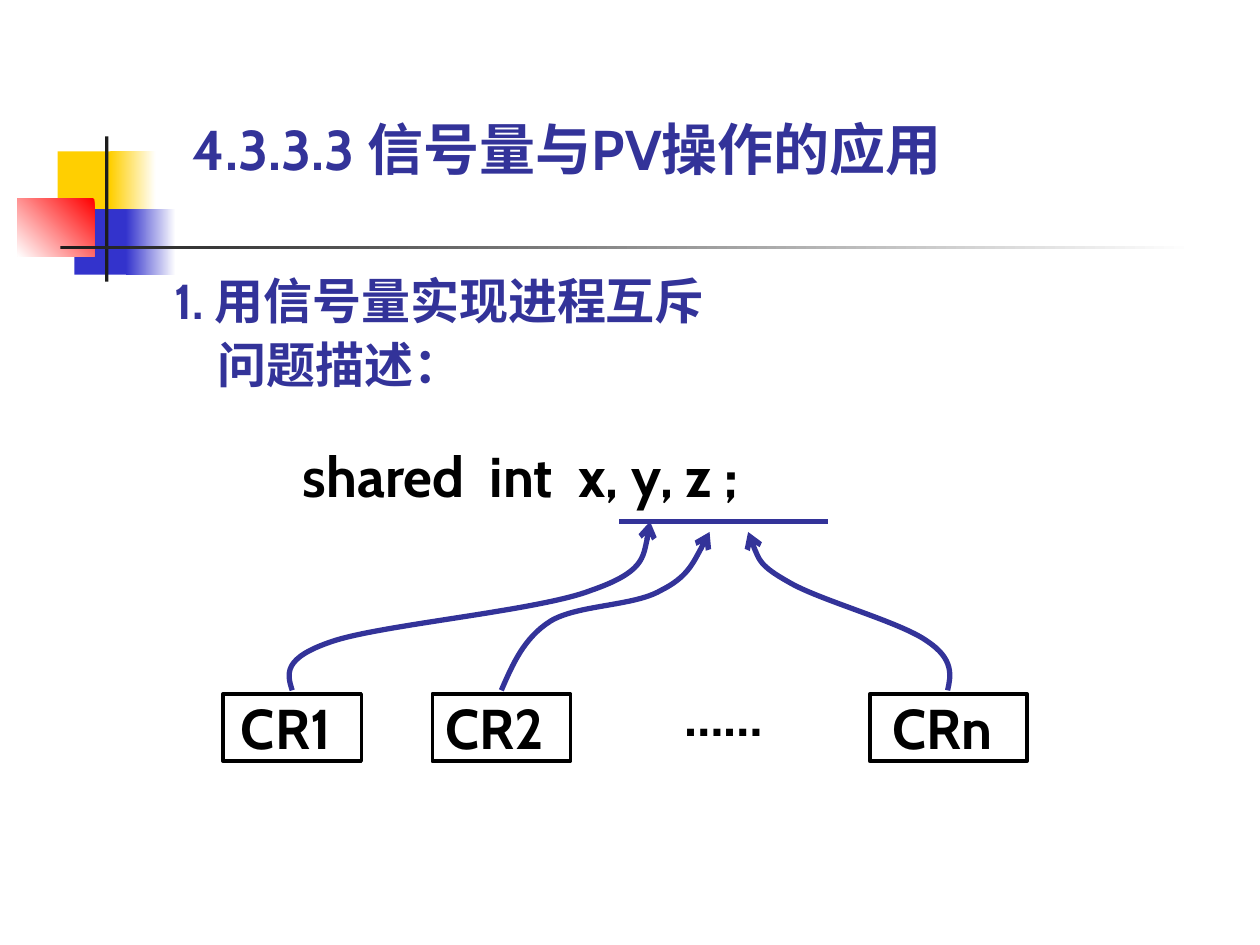
from pptx import Presentation
from pptx import util as u
from pptx.dml.color import RGBColor
from pptx.enum import shapes, text
from pptx.oxml import ns
from lxml import etree

FONT = "Cabin"
COLORS = {"yellow": "FFCF01", "blue": "3333CC", "red": "FF0000", "dark": "1C1C1C",
          "white": "FFFFFF", "indigo": "333399", "black": "000000"}

# name, left, top, width, height, fade angle (counter-clockwise) or None
DECORATION = [
    ("yellow", 33, 86.5, 34.5, 37.5, None),
    ("yellow", 63, 86.5, 26, 37.5, 0),
    ("blue", 42.5, 119.5, 33, 37.5, None),
    ("blue", 72, 119.5, 28.5, 37.5, 0),
    ("red", 10, 113.5, 44, 33, 225),
    ("dark", 60, 78, 2, 83, None),
    ("dark", 34.5, 140.5, 648, 2, 0),
]

PROCESSES = [("CR1 ", 127.5, 79), ("CR2 ", 247, 79), ("CRn ", 497, 90)]

# Start point, then two controls and an end point for each curve
ARROWS = [
    [(541.5, 394.5), (543.5, 386), (545, 376.5), (530, 366.5), (515, 355.5), (468, 343),
     (450.5, 332.5), (433.5, 323), (430.5, 313), (427.5, 304)],
    [(286.5, 394.5), (293, 379.5), (299.5, 364.5), (314.5, 355), (330, 345.5), (362, 346.5),
     (377.5, 337.5), (392.5, 330), (399, 317), (405.5, 304)],
    [(167, 394.5), (164, 385), (161.5, 376), (190, 366.5), (218, 357), (307.5, 349),
     (337.5, 337.5), (368, 327), (369.5, 312.5), (371.5, 298)],
]


def rgb(name):
    return RGBColor.from_string(COLORS[name])


def place(shape, left, top, width, height):
    shape.left, shape.top = u.Pt(left), u.Pt(top)
    shape.width, shape.height = u.Pt(width), u.Pt(height)


def write(shape, words, size, color, align=text.PP_ALIGN.LEFT,
          anchor=text.MSO_ANCHOR.TOP, spacing=1.0):
    frame = shape.text_frame
    frame.margin_left = frame.margin_right = frame.margin_top = frame.margin_bottom = 0
    frame.word_wrap = True
    frame.auto_size = text.MSO_AUTO_SIZE.SHAPE_TO_FIT_TEXT
    frame.vertical_anchor = anchor
    frame.text = words
    for para in frame.paragraphs:
        para.alignment = align
        para.line_spacing = spacing
        for span in para.runs:
            span.font.name, span.font.size, span.font.bold = FONT, u.Pt(size), True
            span.font.color.rgb = rgb(color)
    return frame


def add_text(page, words, bounds, size, color, **layout):
    box = page.shapes.add_textbox(0, 0, 0, 0)
    place(box, *bounds)
    return write(box, words, size, color, **layout)


def add_rectangle(page, *bounds):
    box = page.shapes.add_shape(shapes.MSO_SHAPE.RECTANGLE, *map(u.Pt, bounds))
    box.shadow.inherit = False
    return box


def add_decoration(page, color, left, top, width, height, angle):
    box = add_rectangle(page, left, top, width, height)
    box.line.fill.background()
    if angle is None:
        box.fill.solid()
        box.fill.fore_color.rgb = rgb(color)
        return
    box.fill.gradient()
    box.fill.gradient_angle = angle
    for stop, name, position in zip(box.fill.gradient_stops, (color, "white"), (0, 1)):
        stop.color.rgb = rgb(name)
        stop.position = position


def add_process(page, words, left, width):
    box = add_rectangle(page, left, 396.5, width, 38.5)
    box.fill.background()
    box.line.color.rgb = rgb("black")
    box.line.width = u.Pt(2)
    write(box, words, 32, "black", align=text.PP_ALIGN.CENTER)


def style_line(shape):
    shape.line.color.rgb = rgb("indigo")
    shape.line.width = u.Pt(3)


def add_underline(page, left, right, top):
    line = page.shapes.add_connector(shapes.MSO_CONNECTOR.STRAIGHT,
                                     u.Pt(left), u.Pt(top), u.Pt(right), u.Pt(top))
    style_line(line)
    etree.SubElement(line._element.spPr, ns.qn("a:effectLst"))


def add_curved_arrow(page, points):
    start, *rest = [(u.Pt(x), u.Pt(y)) for x, y in points]
    builder = page.shapes.build_freeform(*start)
    builder.add_line_segments(rest, close=False)
    arrow = builder.convert_to_shape()
    arrow.shadow.inherit = False
    arrow.fill.background()
    style_line(arrow)
    # Join every three straight segments into one Bezier curve
    segments = list(arrow._element.iter(ns.qn("a:lnTo")))
    for first in range(0, len(segments), 3):
        curve = etree.Element(ns.qn("a:cubicBezTo"))
        segments[first].addprevious(curve)
        for segment in segments[first:first + 3]:
            curve.append(segment[0])
            segment.getparent().remove(segment)
    etree.SubElement(arrow.line._get_or_add_ln(), ns.qn("a:tailEnd"), type="arrow")


def main():
    deck = Presentation()
    deck.slide_width, deck.slide_height = u.Pt(720), u.Pt(540)
    page = deck.slides.add_slide(deck.slide_layouts[5])

    # Coloured corner and rule
    for part in DECORATION:
        add_decoration(page, *part)

    # Title and problem statement
    title = page.shapes.title
    place(title, 110, 65.5, 493, 38.5)
    write(title, "4.3.3.3 信号量与PV操作的应用", 32, "indigo", anchor=text.MSO_ANCHOR.BOTTOM)
    problem = add_text(page, "1. 用信号量实现进程互斥\n问题描述：", (99.5, 151, 328.5, 74), 28,
                       "indigo", anchor=text.MSO_ANCHOR.MIDDLE, spacing=1.1)
    indent = problem.paragraphs[1]._p.get_or_add_pPr()
    indent.set("marL", str(u.Pt(25)))
    indent.set("indent", "0")

    # Shared variables and the processes that use them
    add_text(page, "shared  int  x, y, z ;", (173, 252.5, 323, 38.5), 32, "black")
    for process in PROCESSES:
        add_process(page, *process)
    add_text(page, "……", (360, 389, 107, 38.5), 32, "black", align=text.PP_ALIGN.CENTER)

    # Underline and access arrows
    add_underline(page, 354, 473, 298)
    for points in ARROWS:
        add_curved_arrow(page, points)

    deck.save("out.pptx")


if __name__ == "__main__":
    main()
